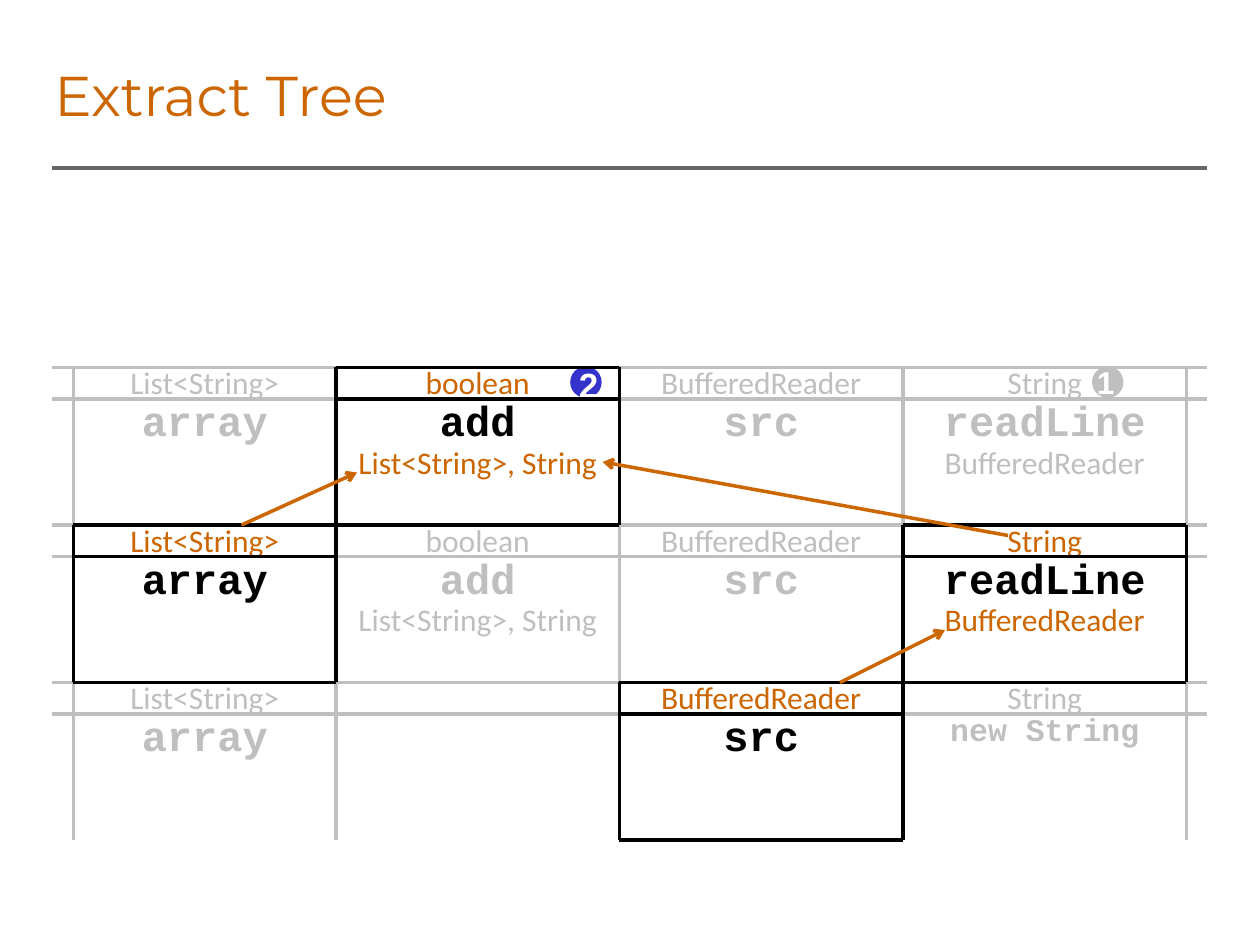
from typing import NamedTuple

from lxml.etree import SubElement
from pptx import Presentation
from pptx.dml.color import RGBColor
from pptx.enum.shapes import MSO_CONNECTOR as Connector, MSO_SHAPE as Shape
from pptx.enum.text import MSO_ANCHOR as Anchor, MSO_AUTO_SIZE as AutoSize, PP_ALIGN as Align
from pptx.oxml.ns import qn
from pptx.util import Emu, Pt

PX = 7620  # 120 px to the inch
COLORS = {
    "faded": "BFBFBF",
    "accent": "CC6600",
    "strong": "000000",
    "rule": "666666",
    "badge": "3333CC",
    "white": "FFFFFF",
}
LEFT, RIGHT = 50, 1150
COLUMN_EDGES = [70, 320, 590, 860, 1130]
TEXT_LEFTS = [60, 320, 590, 860]
TEXT_WIDTH = 270
ROW_TOPS = [350, 500, 650]
ROW_HEIGHT, HEADER_HEIGHT = 150, 30


class Cell(NamedTuple):
    row: int
    column: int
    result: str
    name: str
    arguments: str = ""
    active: bool = False
    name_size: int = 24


class Badge(NamedTuple):
    left: int
    digit: str
    size: int
    text_width: int
    color: str


class Arrow(NamedTuple):
    tip: tuple[int, int]
    start: tuple[int, int]


CELLS = [
    Cell(0, 0, "List<String>", "array"),
    Cell(0, 1, "boolean", "add", "List<String>, String", active=True),
    Cell(0, 2, "BufferedReader", "src"),
    Cell(0, 3, "String", "readLine", "BufferedReader"),
    Cell(1, 0, "List<String>", "array", active=True),
    Cell(1, 1, "boolean", "add", "List<String>, String"),
    Cell(1, 2, "BufferedReader", "src"),
    Cell(1, 3, "String", "readLine", "BufferedReader", active=True),
    Cell(2, 0, "List<String>", "array"),
    Cell(2, 2, "BufferedReader", "src", active=True),
    Cell(2, 3, "String", "new String", name_size=18),
]
BADGES = [Badge(1040, "1", 18, 32, "faded"), Badge(543, "2", 20, 41, "badge")]
ARROWS = [
    Arrow((340, 450), (230, 500)),
    Arrow((574, 440), (960, 510)),
    Arrow((900, 600), (800, 650)),
]


def px(length: int) -> Emu:
    return Emu(length * PX)


def rgb(color: str) -> RGBColor:
    return RGBColor.from_string(COLORS[color])


def add_line(page, start: tuple[int, int], end: tuple[int, int], color: str):
    line = page.shapes.add_connector(Connector.STRAIGHT, *map(px, (*start, *end)))
    line.line.color.rgb = rgb(color)
    line.line.width = Pt(2)
    SubElement(line._element.spPr, qn("a:effectLst"))
    return line


def add_arrow(page, arrow: Arrow) -> None:
    line = add_line(page, arrow.tip, arrow.start, "accent")
    SubElement(line.line._get_or_add_ln(), qn("a:headEnd"), type="arrow")


def add_text(page, area: tuple[int, int, int, int], text: str, size: int,
             font: str, color: str, bold: bool = False, align=Align.CENTER):
    box = page.shapes.add_textbox(*map(px, area))
    frame = box.text_frame
    frame.word_wrap = True
    frame.text = text
    para = frame.paragraphs[0]
    para.alignment = align
    span = para.runs[0].font
    span.size, span.name, span.bold = Pt(size), font, bold
    span.color.rgb = rgb(color)
    return frame


def add_result(page, cell: Cell) -> None:
    area = (TEXT_LEFTS[cell.column], ROW_TOPS[cell.row] - 10, TEXT_WIDTH, 48)
    add_text(page, area, cell.result, 18, "Calibri", "accent" if cell.active else "faded")


def add_signature(page, cell: Cell) -> None:
    """Write the name of a cell and, below it, its argument types."""
    left, top = TEXT_LEFTS[cell.column], ROW_TOPS[cell.row]
    height = 60 if cell.name_size == 24 else 48
    add_text(page, (left, top + 20, TEXT_WIDTH, height), cell.name, cell.name_size,
             "Courier New", "strong" if cell.active else "faded", bold=True)
    if cell.arguments:
        add_text(page, (left, top + 66, TEXT_WIDTH, 48), cell.arguments, 18,
                 "Calibri", "accent" if cell.active else "faded")


def add_grid_row(page, top: int) -> None:
    for x in COLUMN_EDGES:
        add_line(page, (x, top), (x, top + ROW_HEIGHT), "faded")
    for y in (top, top + HEADER_HEIGHT):
        add_line(page, (LEFT, y), (RIGHT, y), "faded")


def add_outline(page, cell: Cell) -> None:
    left, right = COLUMN_EDGES[cell.column:cell.column + 2]
    top = ROW_TOPS[cell.row]
    bottom = top + ROW_HEIGHT
    for y in (top, top + HEADER_HEIGHT, bottom):
        add_line(page, (left, y), (right, y), "strong")
    for x in (left, right):
        add_line(page, (x, top), (x, bottom), "strong")


def add_badge(page, badge: Badge) -> None:
    disc = page.shapes.add_shape(Shape.OVAL, *map(px, (badge.left, 349, 30, 30)))
    disc.shadow.inherit = False
    disc.fill.solid()
    disc.fill.fore_color.rgb = rgb(badge.color)
    disc.line.fill.background()
    frame = add_text(page, (badge.left - 3, 340, badge.text_width, 48), badge.digit,
                     badge.size, "Arial", "white", bold=True)
    frame.word_wrap = False
    frame.margin_left = frame.margin_right = 0


def main() -> None:
    deck = Presentation()
    deck.slide_width, deck.slide_height = px(1200), px(900)
    page = deck.slides.add_slide(deck.slide_layouts[6])

    add_line(page, (LEFT, 160), (RIGHT, 160), "rule")
    title = add_text(page, (40, 50, 970, 80), "Extract Tree", 32, "Montserrat",
                     "accent", align=Align.LEFT)
    title.vertical_anchor = Anchor.MIDDLE
    title.auto_size = AutoSize.NONE

    for cell in CELLS:
        add_result(page, cell)
    for top in ROW_TOPS:
        add_grid_row(page, top)
    for cell in CELLS:
        add_signature(page, cell)
    for badge in BADGES:
        add_badge(page, badge)
    for cell in CELLS:
        if cell.active:
            add_outline(page, cell)
    for arrow in ARROWS:
        add_arrow(page, arrow)

    deck.save("out.pptx")


if __name__ == "__main__":
    main()
